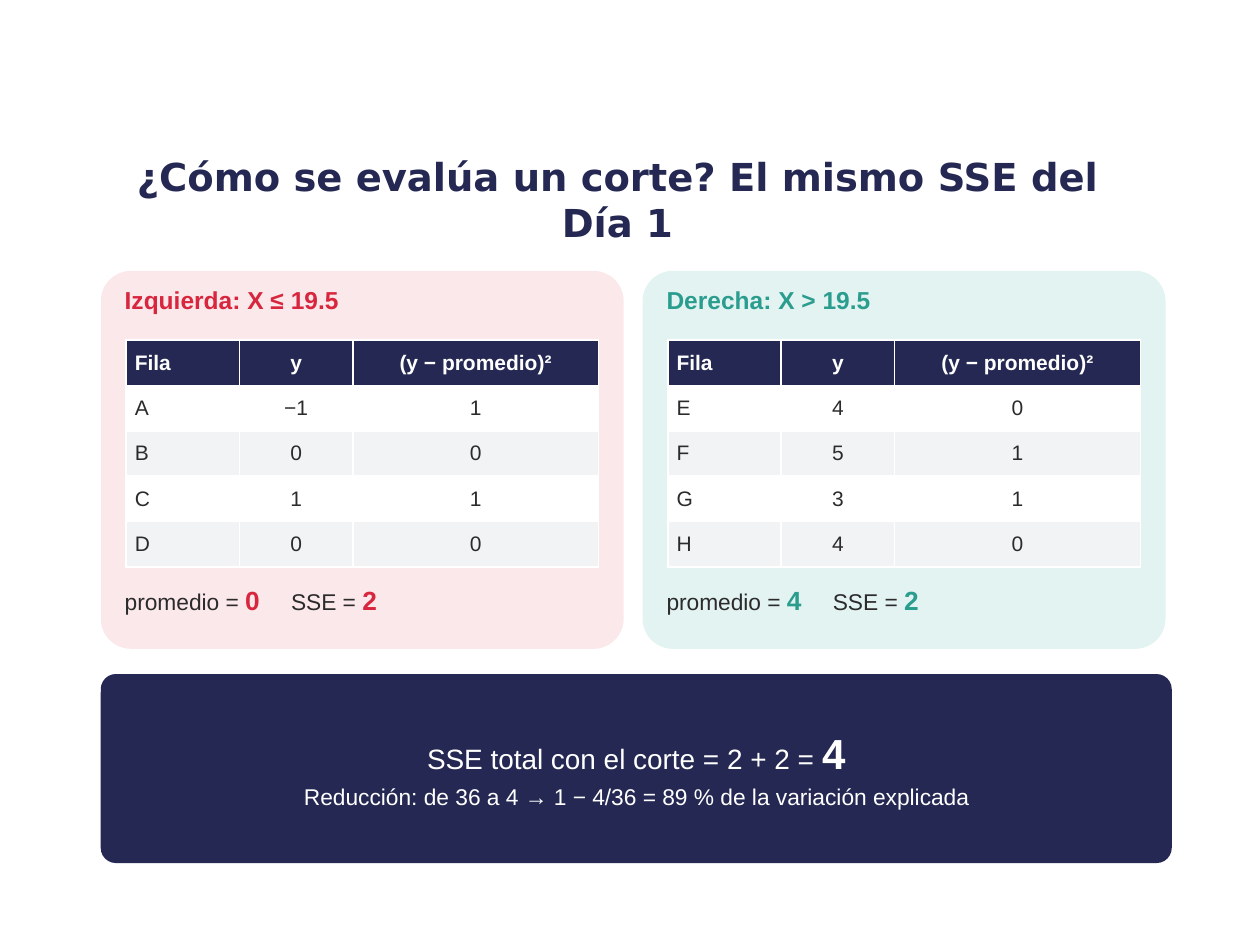
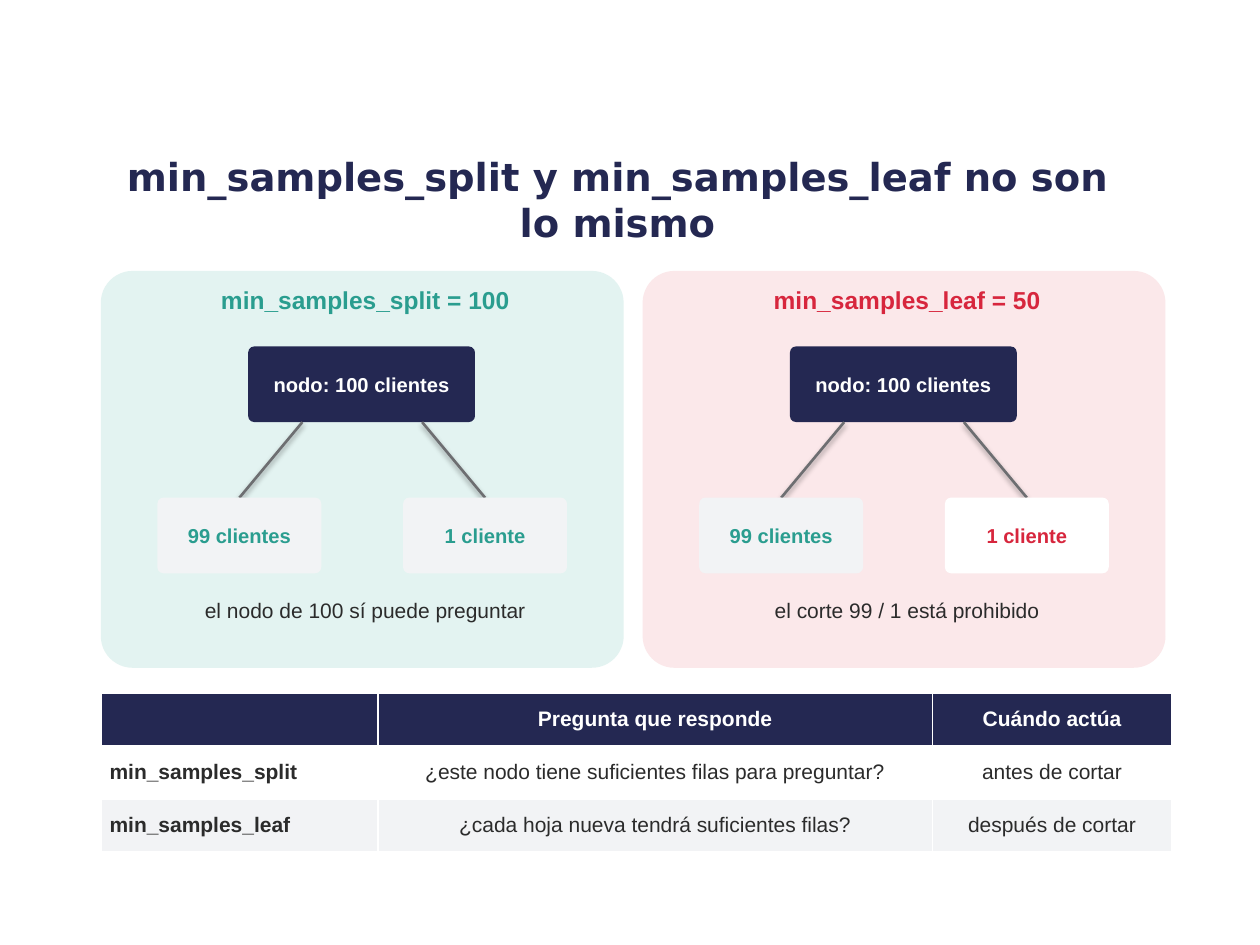
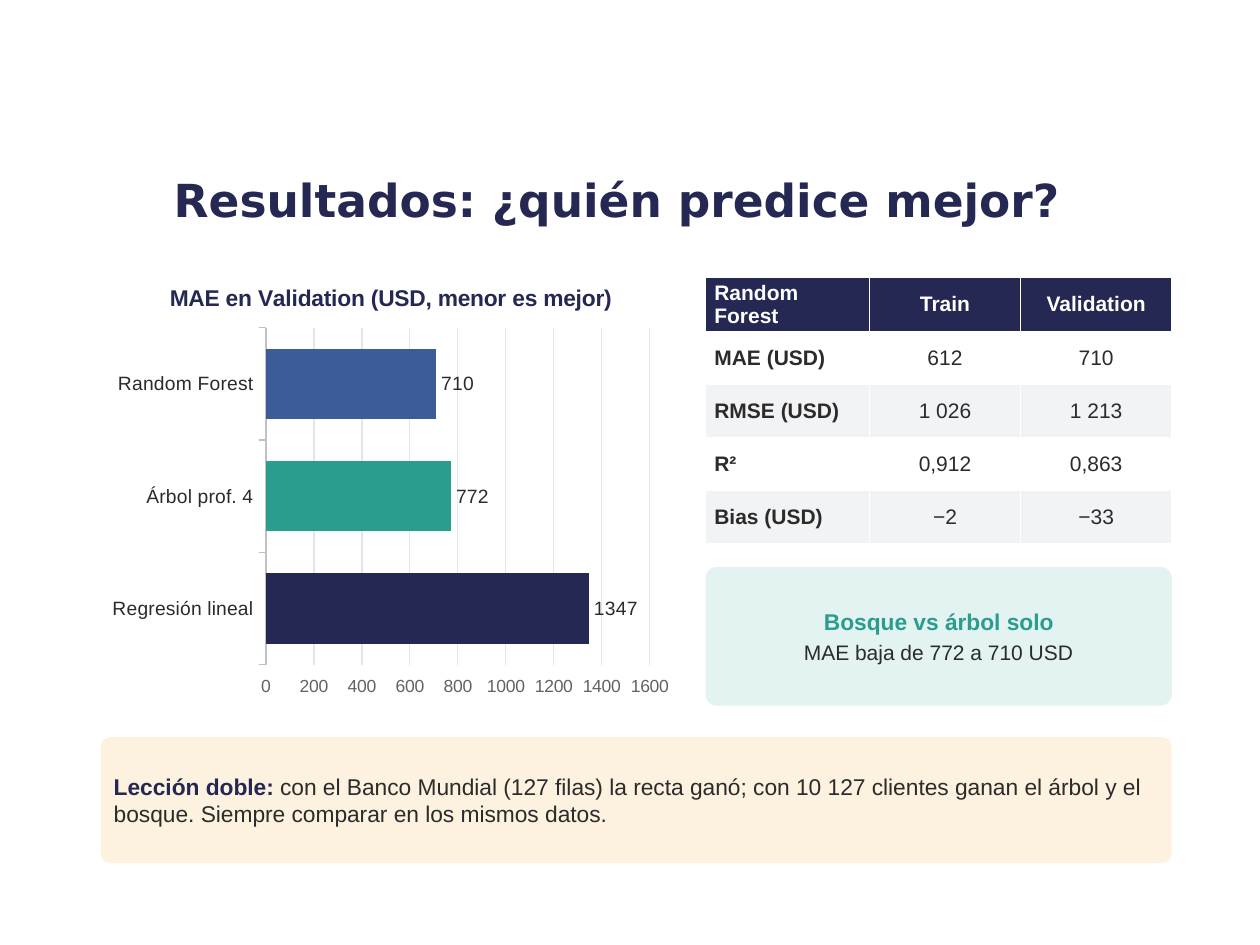
from dataclasses import dataclass
from typing import NamedTuple

from lxml.etree import SubElement
from pptx import Presentation
from pptx.chart.data import CategoryChartData
from pptx.dml.color import RGBColor
from pptx.enum.chart import XL_CHART_TYPE, XL_LABEL_POSITION, XL_TICK_LABEL_POSITION, XL_TICK_MARK
from pptx.enum.shapes import MSO_CONNECTOR, MSO_SHAPE
from pptx.enum.text import MSO_ANCHOR, PP_ALIGN
from pptx.oxml.ns import qn
from pptx.util import Emu, Pt

PX = 9144
LEFT, MID = PP_ALIGN.LEFT, PP_ALIGN.CENTER


@dataclass(frozen=True)
class Theme:
    """Colours, fonts and type sizes of the deck."""
    navy: str = "242852"
    red: str = "D7263D"
    teal: str = "2A9D8F"
    blue: str = "3D5A99"
    ink: str = "2B2B2B"
    white: str = "FFFFFF"
    mist: str = "F2F3F5"
    rose: str = "FBE8EA"
    mint: str = "E3F3F1"
    cream: str = "FDF2E0"
    line: str = "6D6E71"
    axis: str = "BFC3C9"
    grid: str = "E3E5E8"
    scale: str = "5F6368"
    sans: str = "Arial"
    title: str = "DejaVu Sans"
    big: float = 26
    head: float = 22
    sum: float = 24
    lead: float = 16
    key: float = 15
    sub: float = 14
    text: float = 13
    cell: float = 12
    node: float = 11.5
    label: float = 11
    tick: float = 10


T = Theme()


class Box(NamedTuple):
    """A rectangle in px."""
    x: int
    y: int
    w: int
    h: int

    def sub(self, x, y, w, h):
        """Return a box placed from this box's corner."""
        return Box(self.x + x, self.y + y, w, h)

    def emu(self):
        """Return the four lengths in EMU."""
        return [Emu(n * PX) for n in self]


class Line(NamedTuple):
    """One paragraph; more holds (text, size, colour, bold) runs that differ from it."""
    text: str
    size: float
    ink: str
    bold: bool = False
    align: PP_ALIGN = MID
    more: tuple = ()
    tab: int = 0


def tint(font, size, ink, bold=False, name=T.sans):
    """Set the look of a font."""
    font.name, font.size, font.bold = name, Pt(size), bold
    font.color.rgb = RGBColor.from_string(ink)


def paint(fill, hue):
    """Fill with one colour."""
    fill.solid()
    fill.fore_color.rgb = RGBColor.from_string(hue)


def inset(item, side, top):
    """Set the inner margins of a frame or cell."""
    item.margin_left = item.margin_right = Emu(side * PX)
    item.margin_top = item.margin_bottom = Emu(top * PX)


def write(frame, lines, after=None, name=T.sans):
    """Write the lines into a text frame."""
    for n, line in enumerate(lines):
        para = frame.add_paragraph() if n else frame.paragraphs[0]
        para.alignment = line.align
        if after:
            para.space_after = Pt(after)
        if line.tab:
            tabs = SubElement(para._p.get_or_add_pPr(), qn("a:tabLst"))
            SubElement(tabs, qn("a:tab"), pos=str(line.tab * PX), algn="l")
        tint(para.font, line.size, line.ink, line.bold, name)
        para.add_run().text = line.text
        for text, *look in line.more:
            run = para.add_run()
            run.text = text
            tint(run.font, *look)


def head(deck, text, size=T.head):
    """Add a slide with its title."""
    slide = deck.slides.add_slide(deck.slide_layouts[5])
    title = slide.shapes.title
    title.left, title.top, title.width, title.height = Box(75, 118, 830, 80).emu()
    title.text_frame.vertical_anchor = MSO_ANCHOR.MIDDLE
    write(title.text_frame, [Line(text, size, T.navy, True)], name=T.title)
    return slide


def card(slide, box, hue, lines=(), pad=8):
    """Draw a rounded card with its lines."""
    shape = slide.shapes.add_shape(MSO_SHAPE.ROUNDED_RECTANGLE, *box.emu())
    shape.adjustments[0] = 0.08
    shape.shadow.inherit = False
    paint(shape.fill, hue)
    shape.line.fill.background()
    frame = shape.text_frame
    frame.word_wrap, frame.vertical_anchor = True, MSO_ANCHOR.MIDDLE
    inset(frame, pad, pad)
    write(frame, lines, 3)


def note(slide, box, line):
    """Place one line of free text."""
    frame = slide.shapes.add_textbox(*box.emu()).text_frame
    frame.word_wrap = True
    inset(frame, 4, 4)
    write(frame, [line], 4)


def table(slide, box, cols, rows, strong=False):
    """Draw a table with a dark head and banded rows."""
    grid = slide.shapes.add_table(len(rows), len(cols), *box.emu()).table
    for col, wide in zip(grid.columns, cols):
        col.width = Emu(wide * PX)
    for r, row in enumerate(rows):
        for c, text in enumerate(row):
            cell = grid.cell(r, c)
            paint(cell.fill, (T.mist if r % 2 == 0 else T.white) if r else T.navy)
            cell.vertical_anchor = MSO_ANCHOR.MIDDLE
            inset(cell, 7, 3)
            if text:
                bold = r == 0 or (strong and c == 0)
                ink = T.ink if r else T.white
                write(cell.text_frame, [Line(text, T.cell, ink, bold, MID if c else LEFT)])


def pane(n, high):
    """Return the box of the left or right pane."""
    return Box(80 + 430 * n, 215, 415, high)


def side(slide, box, hue, ink, name, rows, mean, sse):
    """Draw one side of the cut with its table and sums."""
    card(slide, box, hue)
    note(slide, box.sub(15, 7, 390, 40), Line(name, T.sub, ink, True, LEFT))
    table(slide, box.sub(20, 55, 375, 180), [90, 90, 195], [("Fila", "y", "(y − promedio)²"), *rows])
    more = ((mean, T.key, ink, True), ("\tSSE = ", T.text, T.ink), (sse, T.key, ink, True))
    note(slide, box.sub(15, 245, 390, 45), Line("promedio = ", T.text, T.ink, False, LEFT, more, 132))


def tree(slide, box, hue, ink, name, last, foot):
    """Draw a node that splits into two leaves."""
    card(slide, box, hue)
    note(slide, box.sub(15, 7, 390, 40), Line(name, T.sub, ink, True))
    card(slide, box.sub(117, 60, 180, 60), T.navy, [Line("nodo: 100 clientes", T.node, T.white, True)], 4)
    leaves = ((45, 160, 110, T.mist, "99 clientes", T.teal), (240, 255, 305, last, "1 cliente", ink))
    for x, start, end, fill, text, tone in leaves:
        ends = (box.x + start, box.y + 120, box.x + end, box.y + 180)
        edge = slide.shapes.add_connector(MSO_CONNECTOR.STRAIGHT, *[Emu(n * PX) for n in ends])
        edge.line.width = Pt(1.5)
        edge.line.color.rgb = RGBColor.from_string(T.line)
        card(slide, box.sub(x, 180, 130, 60), fill, [Line(text, T.node, tone, True)], 4)
    note(slide, box.sub(15, 255, 390, 50), Line(foot, T.cell, T.ink))


def bars(slide, box, title, data):
    """Draw the bar chart of errors."""
    feed = CategoryChartData(number_format="0")
    feed.categories = [name for name, _, _ in data]
    feed.add_series("MAE", [value for _, value, _ in data])
    chart = slide.shapes.add_chart(XL_CHART_TYPE.BAR_CLUSTERED, *box.emu(), feed).chart
    tint(chart.font, T.label, T.ink)
    chart.has_legend = False
    write(chart.chart_title.text_frame, [Line(title, T.text, T.navy, True)])
    chart.chart_title.include_in_layout = False
    cats, vals = chart.category_axis, chart.value_axis
    cats.tick_label_position = XL_TICK_LABEL_POSITION.LOW
    cats.major_tick_mark = vals.major_tick_mark = XL_TICK_MARK.OUTSIDE
    tint(cats.tick_labels.font, T.label, T.ink)
    tint(vals.tick_labels.font, T.tick, T.scale)
    vals.minimum_scale, vals.maximum_scale = 0, 1600
    vals.has_major_gridlines = True
    vals.format.line.fill.background()
    for line, hue in ((cats.format.line, T.axis), (vals.major_gridlines.format.line, T.grid)):
        line.width = Pt(0.75)
        line.color.rgb = RGBColor.from_string(hue)
    plot = chart.plots[0]
    plot.gap_width, plot.vary_by_categories = 60, False
    plot.has_data_labels = True
    tags = plot.data_labels
    tags.show_value, tags.position = True, XL_LABEL_POSITION.OUTSIDE_END
    tags.number_format, tags.number_format_is_linked = "0", False
    tint(tags.font, T.label, T.ink)
    paint(plot.series[0].format.fill, T.blue)
    for n, (_, _, hue) in enumerate(data):
        paint(plot.series[0].points[n].format.fill, hue)


def cut(deck):
    """Build the slide on judging a cut."""
    slide = head(deck, "¿Cómo se evalúa un corte? El mismo SSE del Día 1")
    low = [("A", "−1", "1"), ("B", "0", "0"), ("C", "1", "1"), ("D", "0", "0")]
    high = [("E", "4", "0"), ("F", "5", "1"), ("G", "3", "1"), ("H", "4", "0")]
    side(slide, pane(0, 300), T.rose, T.red, "Izquierda: X ≤ 19.5", low, "0", "2")
    side(slide, pane(1, 300), T.mint, T.teal, "Derecha: X > 19.5", high, "4", "2")
    card(slide, Box(80, 535, 850, 150), T.navy, [
        Line("SSE total con el corte = 2 + 2 = ", T.lead, T.white, more=(("4", T.sum, T.white, True),)),
        Line("Reducción: de 36 a 4 → 1 − 4/36 = 89 % de la variación explicada", T.text, T.white),
    ])


def limits(deck):
    """Build the slide on split and leaf limits."""
    slide = head(deck, "min_samples_split y min_samples_leaf no son lo mismo")
    tree(slide, pane(0, 315), T.mint, T.teal, "min_samples_split = 100", T.mist,
         "el nodo de 100 sí puede preguntar")
    tree(slide, pane(1, 315), T.rose, T.red, "min_samples_leaf = 50", T.white,
         "el corte 99 / 1 está prohibido")
    table(slide, Box(80, 550, 850, 126), [220, 440, 190], [
        ("", "Pregunta que responde", "Cuándo actúa"),
        ("min_samples_split", "¿este nodo tiene suficientes filas para preguntar?", "antes de cortar"),
        ("min_samples_leaf", "¿cada hoja nueva tendrá suficientes filas?", "después de cortar"),
    ], True)


def scores(deck):
    """Build the slide of results."""
    slide = head(deck, "Resultados: ¿quién predice mejor?", T.big)
    bars(slide, Box(80, 210, 460, 350), "MAE en Validation (USD, menor es mejor)", [
        ("Regresión lineal", 1347, T.navy),
        ("Árbol prof. 4", 772, T.teal),
        ("Random Forest", 710, T.blue),
    ])
    table(slide, Box(560, 220, 370, 210), [130, 120, 120], [
        ("Random Forest", "Train", "Validation"),
        ("MAE (USD)", "612", "710"),
        ("RMSE (USD)", "1 026", "1 213"),
        ("R²", "0,912", "0,863"),
        ("Bias (USD)", "−2", "−33"),
    ], True)
    card(slide, Box(560, 450, 370, 110), T.mint, [
        Line("Bosque vs árbol solo", T.text, T.teal, True),
        Line("MAE baja de 772 a 710 USD", T.cell, T.ink),
    ])
    rest = ("con el Banco Mundial (127 filas) la recta ganó; con 10 127 clientes ganan "
            "el árbol y el bosque. Siempre comparar en los mismos datos.")
    card(slide, Box(80, 585, 850, 100), T.cream, [
        Line("Lección doble: ", T.text, T.navy, True, LEFT, ((rest, T.text, T.ink),)),
    ])


def main():
    """Build and save the deck."""
    deck = Presentation()
    deck.slide_width, deck.slide_height = Emu(1000 * PX), Emu(750 * PX)
    for build in (cut, limits, scores):
        build(deck)
    deck.save("out.pptx")


if __name__ == "__main__":
    main()
